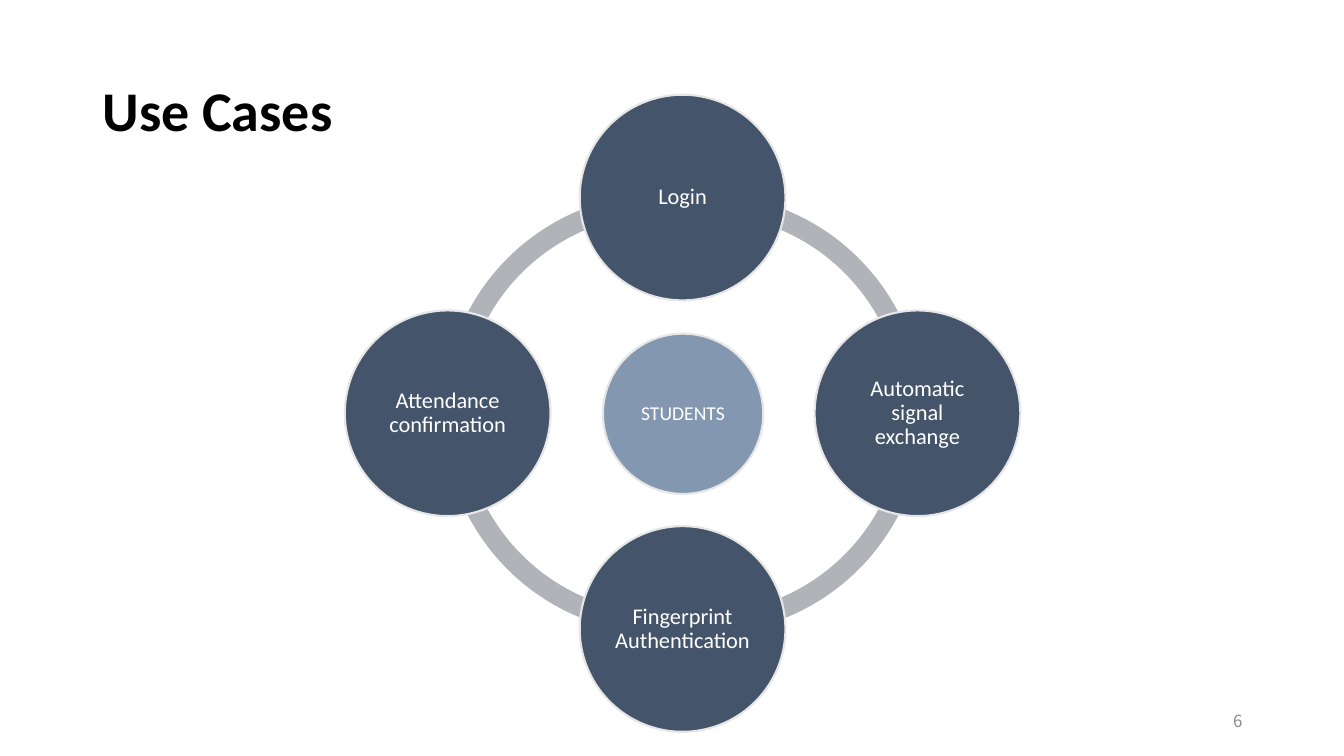
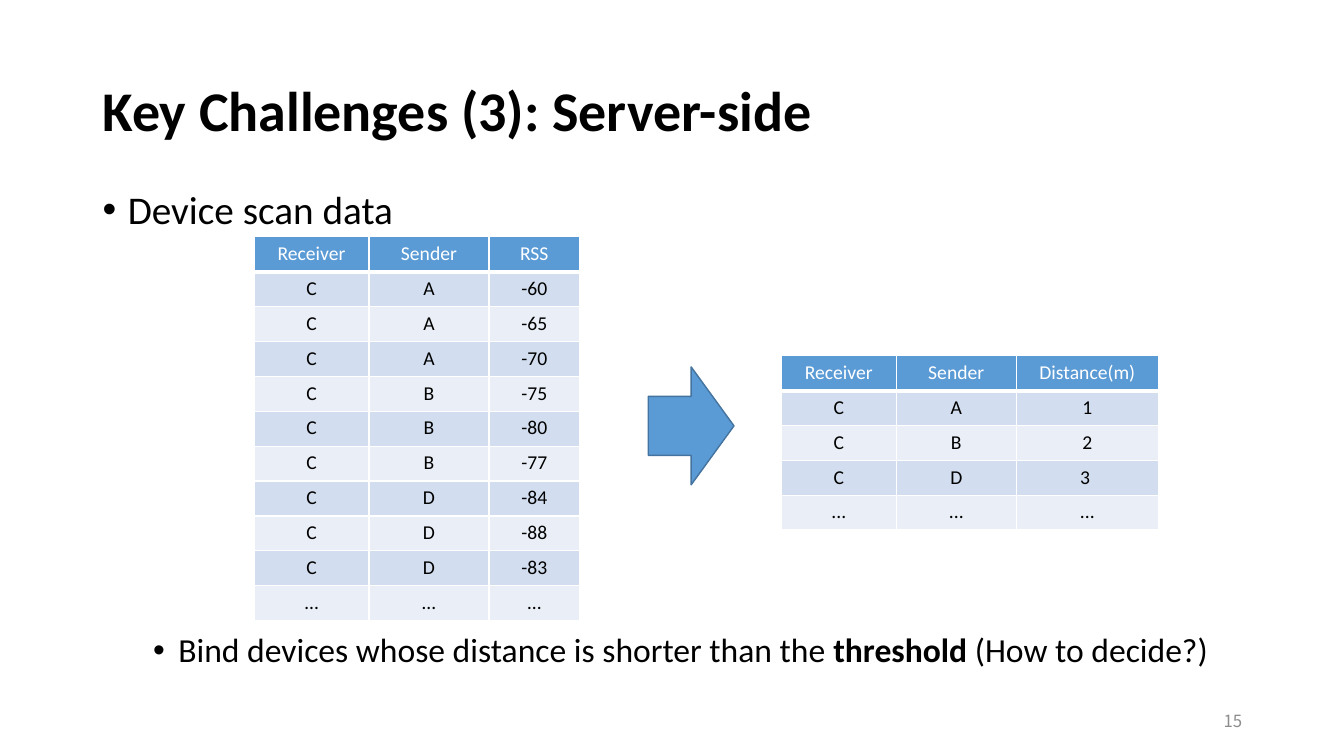
"""Build two slides: the student use cases and the server-side challenge."""
import lxml.etree
import pptx
import pptx.dml.color
import pptx.enum.shapes
import pptx.enum.text
import pptx.oxml.ns
import pptx.util

EMU_PER_PX = 9144
COLORS = {
    "black": "000000",
    "white": "FFFFFF",
    "number": "8C8C8C",
    "ring": "B0B4B9",
    "hub": "8497B0",
    "case": "44546A",
    "outline": "E7E6E6",
    "accent": "5B9BD5",
    "accent_line": "43739E",
    "odd_row": "D2DEEF",
    "even_row": "EAEFF7",
}
BODY_FONT = "Calibri"
NUMBER_FONT = "Noto Sans CJK KR"
SHAPES = pptx.enum.shapes.MSO_SHAPE
ALIGN = pptx.enum.text.PP_ALIGN
MIDDLE = pptx.enum.text.MSO_ANCHOR.MIDDLE

SCANS = [
    ("Receiver", "Sender", "RSS"),
    ("C", "A", "-60"),
    ("C", "A", "-65"),
    ("C", "A", "-70"),
    ("C", "B", "-75"),
    ("C", "B", "-80"),
    ("C", "B", "-77"),
    ("C", "D", "-84"),
    ("C", "D", "-88"),
    ("C", "D", "-83"),
    ("…", "…", "…"),
]
DISTANCES = [
    ("Receiver", "Sender", "Distance(m)"),
    ("C", "A", "1"),
    ("C", "B", "2"),
    ("C", "D", "3 "),
    ("...", "...", "..."),
]


def px(*lengths):
    return [pptx.util.Emu(length * EMU_PER_PX) for length in lengths]


def rgb(name):
    return pptx.dml.color.RGBColor.from_string(COLORS[name])


def style(paragraph, size, color, align=ALIGN.LEFT, bold=False, font=BODY_FONT):
    paragraph.alignment = align
    for run in paragraph.runs:
        run.font.size = pptx.util.Pt(size)
        run.font.name = font
        run.font.bold = bold
        run.font.color.rgb = rgb(color)


def add_text(slide, box, text):
    frame = slide.shapes.add_textbox(*px(*box)).text_frame
    frame.word_wrap = True
    frame.text = text
    return frame


def add_bullet(slide, box, parts, size, indent):
    paragraph = add_text(slide, box, "").paragraphs[0]
    for text, _ in parts:
        paragraph.add_run().text = text
    style(paragraph, size, "black")
    for run, (_, bold) in zip(paragraph.runs, parts):
        run.font.bold = bold
    paragraph.line_spacing = 0.9
    left, hanging = px(indent, -25)
    properties = paragraph._p.get_or_add_pPr()
    properties.set("marL", str(left))
    properties.set("indent", str(hanging))
    font = lxml.etree.SubElement(properties, pptx.oxml.ns.qn("a:buFont"))
    font.set("typeface", "Arial")
    mark = lxml.etree.SubElement(properties, pptx.oxml.ns.qn("a:buChar"))
    mark.set("char", "•")


def add_figure(slide, kind, box, fill, line=None, line_width=1.0):
    figure = slide.shapes.add_shape(kind, *px(*box))
    figure.shadow.inherit = False
    figure.fill.solid()
    figure.fill.fore_color.rgb = rgb(fill)
    if line:
        figure.line.color.rgb = rgb(line)
        figure.line.width = pptx.util.Pt(line_width)
    else:
        figure.line.fill.background()
    return figure


def add_circle(slide, center, diameter, text, fill, size):
    left, top = (middle - diameter // 2 for middle in center)
    circle = add_figure(slide, SHAPES.OVAL, (left, top, diameter, diameter),
                        fill, "outline", 1.5)
    frame = circle.text_frame
    frame.word_wrap = True
    frame.vertical_anchor = MIDDLE
    inset, = px(2)
    frame.margin_left = frame.margin_right = inset
    frame.margin_top = frame.margin_bottom = inset
    frame.text = text
    style(frame.paragraphs[0], size, "white", ALIGN.CENTER)
    frame.paragraphs[0].line_spacing = 0.9


def add_ring_arc(slide, center, start, end):
    diameter = 439
    left, top = (middle - diameter // 2 for middle in center)
    arc = add_figure(slide, SHAPES.BLOCK_ARC, (left, top, diameter, diameter), "ring")
    for index, value in enumerate((start * 0.6, end * 0.6, 0.046)):
        arc.adjustments[index] = value


def add_borders(cell, bottom_width):
    properties = cell._tc.get_or_add_tcPr()
    for side, width in (("L", 1), ("R", 1), ("T", 1), ("B", bottom_width)):
        line = lxml.etree.SubElement(properties, pptx.oxml.ns.qn(f"a:ln{side}"))
        line.set("w", str(pptx.util.Pt(width)))
        fill = lxml.etree.SubElement(line, pptx.oxml.ns.qn("a:solidFill"))
        color = lxml.etree.SubElement(fill, pptx.oxml.ns.qn("a:srgbClr"))
        color.set("val", COLORS["white"])


def add_data_table(slide, left, top, height, widths, records):
    box = px(left, top, sum(widths), height)
    table = slide.shapes.add_table(len(records), len(widths), *box).table
    for column, width in zip(table.columns, px(*widths)):
        column.width = width
    for row_index, record in enumerate(records):
        table.rows[row_index].height = box[3] // len(records)
        header = row_index == 0
        band = "accent" if header else ("even_row", "odd_row")[row_index % 2]
        for column_index, value in enumerate(record):
            cell = table.cell(row_index, column_index)
            cell.text = value
            style(cell.text_frame.paragraphs[0], 14,
                  "white" if header else "black", ALIGN.CENTER)
            add_borders(cell, 3 if header else 1)
            cell.fill.solid()
            cell.fill.fore_color.rgb = rgb(band)


def add_slide(deck, title, number):
    slide = deck.slides.add_slide(deck.slide_layouts[6])
    heading = add_text(slide, (92, 40, 1150, 145), title)
    heading.vertical_anchor = MIDDLE
    style(heading.paragraphs[0], 40, "black", bold=True)
    heading.paragraphs[0].line_spacing = 0.9
    footer = add_text(slide, (942, 695, 300, 40), number)
    footer.vertical_anchor = MIDDLE
    style(footer.paragraphs[0], 12, "number", ALIGN.RIGHT, font=NUMBER_FONT)
    return slide


def build_use_cases(deck):
    slide = add_slide(deck, "Use Cases", "6")
    x, y = 677, 410
    for side, drop, start, end in ((-1, -1, 180, 275), (-1, 1, 85, 180),
                                   (1, 1, 0, 95), (1, -1, 265, 0)):
        add_ring_arc(slide, (x + 19 * side, y - drop), start, end)
    add_circle(slide, (x, y), 159, "STUDENTS", "hub", 14)
    for text, across, down in (("Login", 0, -1),
                               ("Automatic signal exchange", 1, 0),
                               ("Fingerprint Authentication", 0, 1),
                               ("Attendance confirmation", -1, 0)):
        center = (x + 233 * across, y + 214 * down)
        add_circle(slide, center, 204, text, "case", 16)


def build_server_side(deck):
    slide = add_slide(deck, "Key Challenges (3): Server-side", "15")
    add_bullet(slide, (92, 184, 1182, 50), [("Device scan data", False)], 28, 25)
    add_bullet(slide, (92, 624, 1182, 46),
               [("Bind devices whose distance is shorter than the ", False),
                ("threshold", True), (" (How to decide?)", False)], 24, 75)
    add_data_table(slide, 252, 235, 381, (114, 119, 90), SCANS)
    add_figure(slide, SHAPES.RIGHT_ARROW, (643, 364, 85, 117), "accent", "accent_line")
    add_data_table(slide, 775, 353, 173, (114, 119, 141), DISTANCES)


def main():
    deck = pptx.Presentation()
    deck.slide_width, deck.slide_height = px(1333, 750)
    build_use_cases(deck)
    build_server_side(deck)
    deck.save("out.pptx")


if __name__ == "__main__":
    main()
